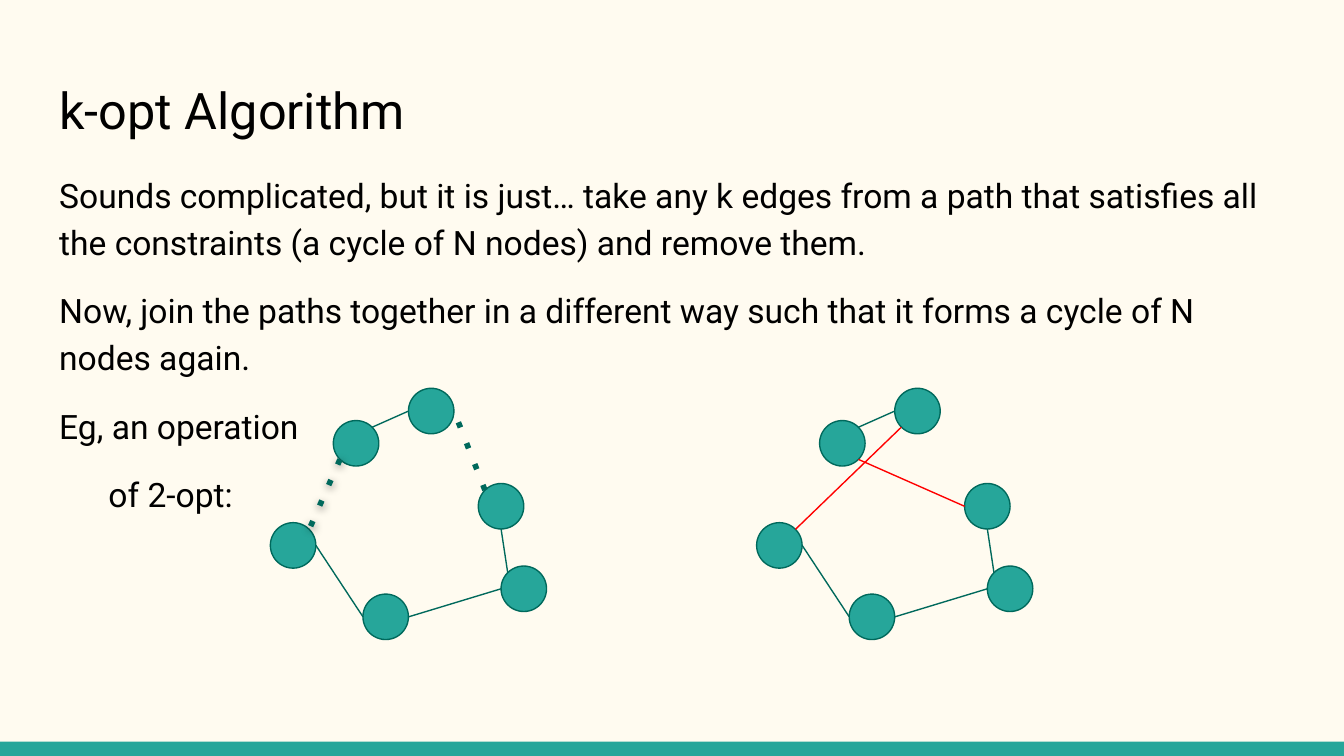
"""Build a slide that explains the k-opt algorithm with a 2-opt example."""
from math import cos, radians, sin

from lxml.etree import SubElement
from pptx import Presentation
from pptx.dml.color import RGBColor
from pptx.enum.shapes import MSO_CONNECTOR, MSO_SHAPE
from pptx.enum.text import MSO_ANCHOR, MSO_AUTO_SIZE, PP_ALIGN
from pptx.oxml.ns import qn
from pptx.util import Cm, Pt

COLORS = {"background": "FFFBF0", "teal": "26A69A", "edge": "00695C",
          "new": "FF0000", "text": "000000"}
FONT = "Roboto"
WIDTH, HEIGHT = 25.4, 14.29
MARGIN, TEXT_WIDTH = 0.87, 23.67
NODE = 0.86

NODES = {"upper_left": (1.19, 0.61), "top": (2.61, 0), "right": (3.93, 1.8),
         "left": (0, 2.54), "bottom": (1.75, 3.89), "lower_right": (4.36, 3.36)}
SITES = {"E": 0, "SE": 45, "S": 90, "SW": 135, "W": 180, "NW": 225, "NE": 315}

KEPT = [("left", "E", "bottom", "W"), ("bottom", "E", "lower_right", "W"),
        ("lower_right", "NW", "right", "S"), ("top", "W", "upper_left", "NE")]
REMOVED = [("right", "NW", "top", "E", False),
           ("upper_left", "SW", "left", "NE", True)]
ADDED = [("left", "NE", "top", "SW"), ("upper_left", "SE", "right", "W")]

PARAGRAPHS = [
    ("Sounds complicated, but it is just… take any k edges from a path that "
     "satisfies all the constraints (a cycle of N nodes) and remove them.", {}),
    ("Now, join the paths together in a different way such that it forms "
     "a cycle of N nodes again.", {"before": 12}),
    ("Eg, an operation", {"before": 12}),
    ("of 2-opt:", {"before": 12, "after": 12, "indent": 0.93}),
]


def rgb(name):
    """Return the named colour."""
    return RGBColor.from_string(COLORS[name])


def write(p, text, size=18, spacing=None, before=0, after=0, indent=0):
    """Fill a paragraph with formatted text."""
    p.alignment = PP_ALIGN.LEFT
    p.line_spacing = spacing
    p.space_before, p.space_after = Pt(before), Pt(after)
    if indent:
        p._p.get_or_add_pPr().set("marL", str(Cm(indent)))
    r = p.add_run()
    r.text = text
    r.font.name, r.font.size = FONT, Pt(size)
    r.font.color.rgb = rgb("text")


def site_point(origin, node, site):
    """Return the point at a compass site on a node's outline."""
    angle = radians(SITES[site])
    return (origin[0] + NODES[node][0] + NODE / 2 * (1 + cos(angle)),
            origin[1] + NODES[node][1] + NODE / 2 * (1 + sin(angle)))


class Deck:
    """Hold the style and the current slide."""

    def __init__(self, prs):
        """Add a title-only slide with the plain background."""
        self.slide = prs.slides.add_slide(prs.slide_layouts[5])
        fill = self.slide.background.fill
        fill.solid()
        fill.fore_color.rgb = rgb("background")

    def frame(self, sp):
        """Set the margins and wrapping of a text shape."""
        tf = sp.text_frame
        tf.word_wrap, tf.auto_size = True, MSO_AUTO_SIZE.NONE
        tf.vertical_anchor = MSO_ANCHOR.TOP
        tf.margin_left = tf.margin_right = Cm(0.25)
        tf.margin_top = tf.margin_bottom = Cm(0.25)
        return tf

    def title(self, text, top, height):
        """Place and fill the title."""
        sp = self.slide.shapes.title
        sp.left, sp.top = Cm(MARGIN), Cm(top)
        sp.width, sp.height = Cm(TEXT_WIDTH), Cm(height)
        write(self.frame(sp).paragraphs[0], text, size=27)

    def body(self, paragraphs, top, height):
        """Add the body text."""
        sp = self.slide.shapes.add_textbox(
            Cm(MARGIN), Cm(top), Cm(TEXT_WIDTH), Cm(height))
        tf = self.frame(sp)
        for i, (text, style) in enumerate(paragraphs):
            p = tf.add_paragraph() if i else tf.paragraphs[0]
            write(p, text, spacing=1.15, **style)

    def shape(self, shapes, kind, left, top, width, height, line=None):
        """Add a teal shape with an optional outline."""
        sp = shapes.add_shape(kind, Cm(left), Cm(top), Cm(width), Cm(height))
        sp.shadow.inherit = False
        sp.fill.solid()
        sp.fill.fore_color.rgb = rgb("teal")
        if line:
            sp.line.color.rgb, sp.line.width = rgb(line), Pt(0.75)
        else:
            sp.line.fill.background()

    def line(self, shapes, start, end, color="edge", dotted=False, shadow=False):
        """Add a straight edge, optionally dotted or shadowed."""
        sp = shapes.add_connector(
            MSO_CONNECTOR.STRAIGHT, *(Cm(v) for v in (*start, *end)))
        sp.line.color.rgb = rgb(color)
        sp.line.width = Pt(3 if dotted else 0.75)
        if dotted:
            SubElement(sp.line._get_or_add_ln(), qn("a:prstDash"), val="dot")
        effects = SubElement(sp._element.spPr, qn("a:effectLst"))
        if shadow:
            outer = SubElement(effects, qn("a:outerShdw"), blurRad=str(Pt(4.5)),
                               dist=str(Pt(1.5)), dir="5400000",
                               algn="bl", rotWithShape="0")
            black = SubElement(outer, qn("a:srgbClr"), val=COLORS["text"])
            SubElement(black, qn("a:alpha"), val="50000")

    def graph(self, left, top, removed=(), added=()):
        """Add a group of six nodes and the edges between them."""
        shapes = self.slide.shapes.add_group_shape().shapes
        for x, y in NODES.values():
            self.shape(shapes, MSO_SHAPE.OVAL, left + x, top + y,
                       NODE, NODE, line="edge")
        edges = [(edge, {}) for edge in KEPT]
        edges += [(edge, {"dotted": True, "shadow": shadow})
                  for *edge, shadow in removed]
        edges += [(edge, {"color": "new"}) for edge in added]
        for (a, a_site, b, b_site), style in edges:
            self.line(shapes, site_point((left, top), a, a_site),
                      site_point((left, top), b, b_site), **style)


def main():
    """Build and save the slide."""
    prs = Presentation()
    prs.slide_width, prs.slide_height = Cm(WIDTH), Cm(HEIGHT)
    deck = Deck(prs)
    bar = 0.27
    deck.shape(deck.slide.shapes, MSO_SHAPE.RECTANGLE, 0, HEIGHT - bar, WIDTH, bar)
    deck.title("k-opt Algorithm", 1.24, 1.7)
    deck.body(PARAGRAPHS, 2.95, 9.45)
    deck.graph(5.11, 7.34, removed=REMOVED)
    deck.graph(14.3, 7.34, added=ADDED)
    prs.save("out.pptx")


if __name__ == "__main__":
    main()
